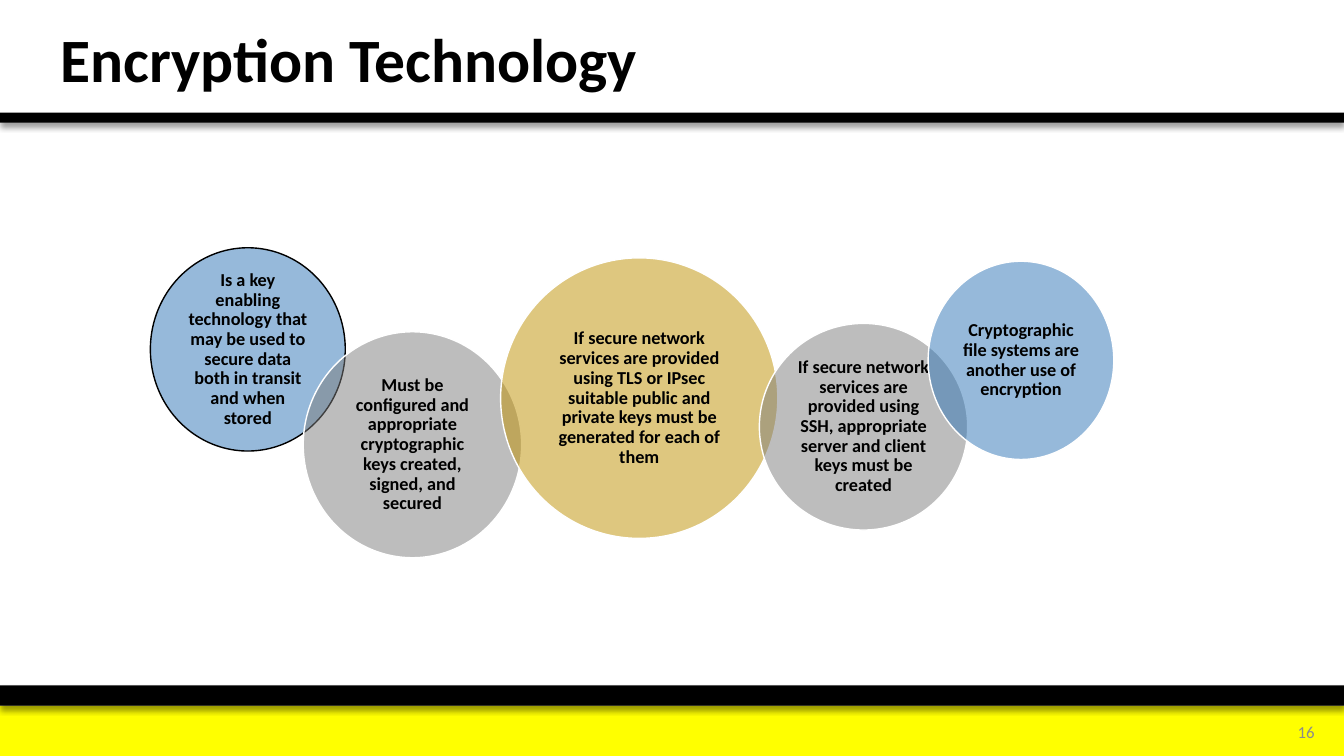
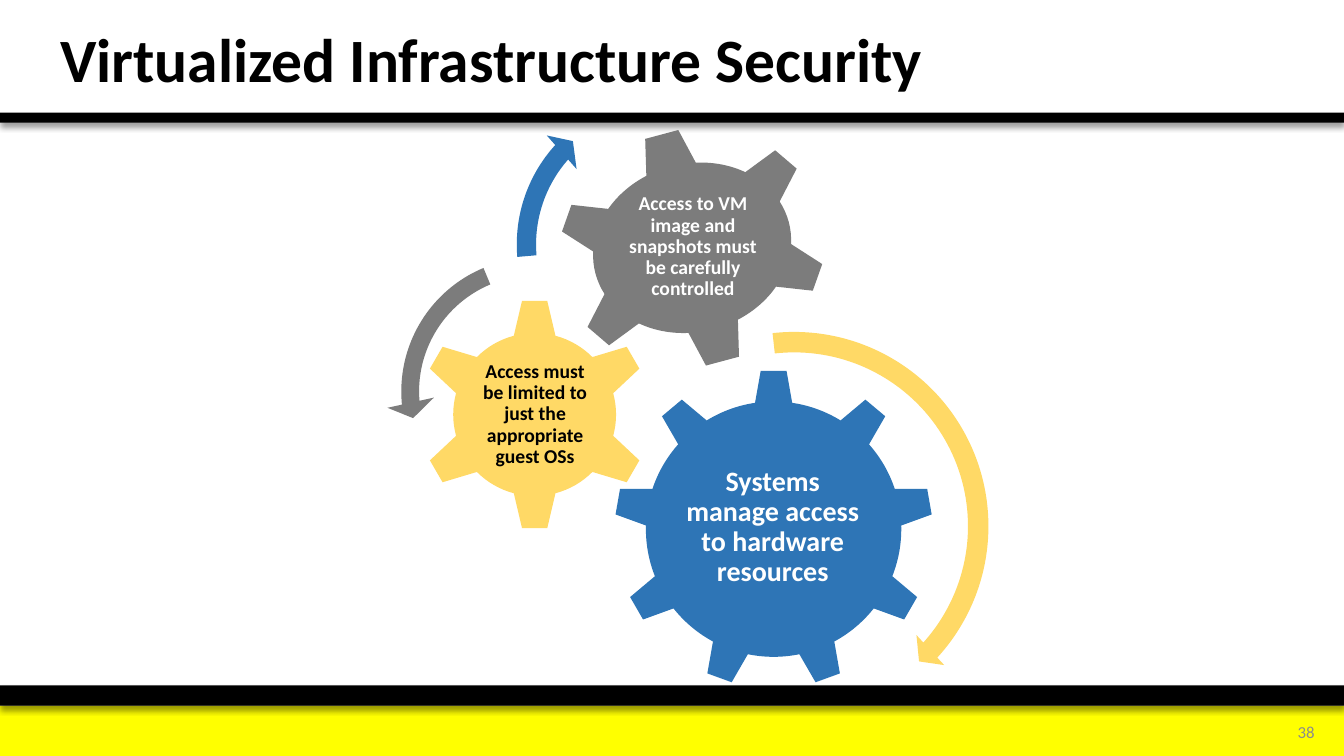
from dataclasses import dataclass
from typing import Optional

from lxml import etree
from pptx import Presentation
from pptx.dml.color import RGBColor
from pptx.enum.shapes import MSO_SHAPE
from pptx.enum.text import MSO_ANCHOR, PP_ALIGN
from pptx.oxml.ns import qn
from pptx.presentation import Presentation as Deck
from pptx.shapes.autoshape import Shape
from pptx.slide import Slide
from pptx.util import Emu, Inches, Pt

RECTANGLE = MSO_SHAPE.RECTANGLE
ELLIPSE = MSO_SHAPE.OVAL
GEAR_6 = MSO_SHAPE.GEAR_6
GEAR_9 = MSO_SHAPE.GEAR_9
CLOCKWISE = MSO_SHAPE.CIRCULAR_ARROW
COUNTERCLOCKWISE = MSO_SHAPE.LEFT_CIRCULAR_ARROW
LEFT, CENTER, RIGHT = PP_ALIGN.LEFT, PP_ALIGN.CENTER, PP_ALIGN.RIGHT
MIDDLE = MSO_ANCHOR.MIDDLE

# The slide is a grid of square cells, twelve to the inch.
CELL = Inches(1) // 12
COLUMNS, ROWS = 160, 90
BLANK_LAYOUT = 6


@dataclass(frozen=True)
class Theme:
    font: str = "Calibri"
    black: str = "000000"
    white: str = "FFFFFF"
    yellow: str = "FFFF00"
    blue: str = "2E75B6"
    gray: str = "7C7C7C"
    ochre: str = "BF9000"
    gold: str = "FFD966"
    number_gray: str = "8C8C8C"
    title_size: int = 44
    large_size: int = 20
    label_size: int = 14
    circle_size: int = 13
    number_size: int = 12
    line_spacing: float = 0.9


THEME = Theme()


@dataclass(frozen=True)
class Box:
    """A place on the grid, in columns and rows."""
    column: float
    row: float
    width: float
    height: float

    def lengths(self) -> tuple[Emu, ...]:
        return tuple(Emu(round(cells * CELL)) for cells in
                     (self.column, self.row, self.width, self.height))


@dataclass(frozen=True)
class TextStyle:
    size: int
    color: str = THEME.black
    bold: bool = True
    align: PP_ALIGN = CENTER
    spacing: Optional[float] = THEME.line_spacing
    side_inset: float = 0.1
    top_inset: float = 0.05


TITLE_STYLE = TextStyle(THEME.title_size, align=LEFT)
NUMBER_STYLE = TextStyle(THEME.number_size, THEME.number_gray, False, RIGHT, None)
CIRCLE_STYLE = TextStyle(THEME.circle_size, side_inset=0.07, top_inset=0.02)


@dataclass(frozen=True)
class Band:
    row: float
    height: float
    color: str
    shadow: bool = True


@dataclass(frozen=True)
class Circle:
    box: Box
    color: str
    text: str
    outline: str = THEME.white


@dataclass(frozen=True)
class Gear:
    kind: MSO_SHAPE
    box: Box
    color: str
    label_box: Box
    text: str
    text_color: str = THEME.white
    size: int = THEME.label_size
    rotation: int = 0


@dataclass(frozen=True)
class TurningArrow:
    """Angles are in degrees; thickness and head are shares of the side."""
    kind: MSO_SHAPE
    column: float
    row: float
    side: float
    color: str
    thickness: float
    head_angle: float
    end_angle: float
    start_angle: float
    head: float


BANDS = (
    Band(84, 6, THEME.yellow, shadow=False),
    Band(81.6, 2.4, THEME.black),
    Band(13.4, 1.2, THEME.black),
)
TITLE_BOX = Box(6, 0.8, 125.6, 13.4)
NUMBER_BOX = Box(148.6, 84.7, 9.1, 4.8)

CIRCLES = (
    Circle(Box(17.9, 29.5, 23.2, 24.2), THEME.blue,
           "Is a key enabling technology that may be used to secure data "
           "both in transit and when stored", THEME.black),
    Circle(Box(36.1, 39.5, 26, 26.9), THEME.gray,
           "Must be configured and appropriate cryptographic keys created, "
           "signed, and secured"),
    Circle(Box(59.6, 30.7, 33, 33.4), THEME.ochre,
           "If secure network services are provided using TLS or IPsec "
           "suitable public and private keys must be generated for each of them"),
    Circle(Box(90.4, 38.5, 24.8, 24.6), THEME.gray,
           "If secure network services are provided using SSH, appropriate "
           "server and client keys must be created"),
    Circle(Box(110.5, 31.1, 22.1, 23.6), THEME.blue,
           "Cryptographic file systems are another use of encryption"),
)

GEARS = (
    Gear(GEAR_9, Box(73.1, 44, 38, 38), THEME.blue, Box(80.6, 53, 22.8, 19.6),
         "Systems manage access to hardware resources", size=THEME.large_size),
    Gear(GEAR_6, Box(49.8, 35.5, 27.7, 27.7), THEME.gold, Box(56.8, 42.5, 13.8, 13.7),
         "Access must be limited to just the appropriate guest OSs", THEME.black),
    Gear(GEAR_6, Box(66.2, 15.2, 32.4, 28.6), THEME.gray, Box(73.6, 21.2, 17.8, 16.4),
         "Access to VM image and snapshots must be carefully controlled", rotation=345),
)

ARROWS = (
    TurningArrow(CLOCKWISE, 70.2, 38.3, 48.7, THEME.gold,
                 0.05, 4.98, 42.29, 263.62, 0.05),
    TurningArrow(COUNTERCLOCKWISE, 46, 28.9, 35.4, THEME.gray,
                 0.06, 7.17, 174.82, 247.3, 0.08),
    TurningArrow(CLOCKWISE, 60, 10, 38.2, THEME.blue,
                 0.06, 6.57, 221.9, 175.14, 0.07),
)


def add_filled_shape(slide: Slide, kind: MSO_SHAPE, box: Box, color: str) -> Shape:
    shape = slide.shapes.add_shape(kind, *box.lengths())
    shape.shadow.inherit = False
    shape.fill.solid()
    shape.fill.fore_color.rgb = RGBColor.from_string(color)
    shape.line.fill.background()
    return shape


def write_text(shape: Shape, text: str, style: TextStyle) -> None:
    frame = shape.text_frame
    frame.word_wrap = True
    frame.vertical_anchor = MIDDLE
    frame.margin_left = frame.margin_right = Inches(style.side_inset)
    frame.margin_top = frame.margin_bottom = Inches(style.top_inset)
    paragraph = frame.paragraphs[0]
    paragraph.alignment = style.align
    if style.spacing is not None:
        paragraph.line_spacing = style.spacing
    run = paragraph.add_run()
    run.text = text
    run.font.name = THEME.font
    run.font.size = Pt(style.size)
    run.font.bold = style.bold
    run.font.color.rgb = RGBColor.from_string(style.color)


def add_label(slide: Slide, box: Box, text: str, style: TextStyle) -> None:
    write_text(slide.shapes.add_textbox(*box.lengths()), text, style)


def set_alpha(color_element: etree._Element, percent: int) -> None:
    etree.SubElement(color_element, qn("a:alpha"), val=str(percent * 1000))


def drop_shadow(shape: Shape) -> None:
    """Cast a soft shadow straight down."""
    effects = shape.element.spPr.find(qn("a:effectLst"))
    shadow = etree.SubElement(
        effects, qn("a:outerShdw"), blurRad=str(Pt(4)), dist=str(Pt(3)),
        dir="5400000", algn="t", rotWithShape="0")
    set_alpha(etree.SubElement(shadow, qn("a:srgbClr"), val=THEME.black), 40)


def add_slide(presentation: Deck, title: str, number: int) -> Slide:
    """Add a slide with the shared bands, title and number."""
    slide = presentation.slides.add_slide(presentation.slide_layouts[BLANK_LAYOUT])
    for band in BANDS:
        box = Box(0, band.row, COLUMNS, band.height)
        shape = add_filled_shape(slide, RECTANGLE, box, band.color)
        if band.shadow:
            drop_shadow(shape)
    add_label(slide, NUMBER_BOX, str(number), NUMBER_STYLE)
    add_label(slide, TITLE_BOX, title, TITLE_STYLE)
    return slide


def add_circle(slide: Slide, circle: Circle) -> None:
    shape = add_filled_shape(slide, ELLIPSE, circle.box, circle.color)
    set_alpha(shape.element.spPr.find(f"{qn('a:solidFill')}/{qn('a:srgbClr')}"), 50)
    shape.line.color.rgb = RGBColor.from_string(circle.outline)
    shape.line.width = Pt(1)
    write_text(shape, circle.text, CIRCLE_STYLE)


def add_gear(slide: Slide, gear: Gear) -> None:
    """Draw a gear with an upright label over it."""
    shape = add_filled_shape(slide, gear.kind, gear.box, gear.color)
    shape.rotation = gear.rotation
    style = TextStyle(gear.size, gear.text_color, side_inset=0.02, top_inset=0.02)
    add_label(slide, gear.label_box, gear.text, style)


def add_turning_arrow(slide: Slide, arrow: TurningArrow) -> None:
    box = Box(arrow.column, arrow.row, arrow.side, arrow.side)
    shape = add_filled_shape(slide, arrow.kind, box, arrow.color)
    angles = (arrow.head_angle, arrow.end_angle, arrow.start_angle)
    # One degree is 60000 units, and an adjustment of 1 is 100000 units.
    values = (arrow.thickness, *(angle * 0.6 for angle in angles), arrow.head)
    for index, value in enumerate(values):
        shape.adjustments[index] = value


def main() -> None:
    presentation = Presentation()
    presentation.slide_width = Emu(COLUMNS * CELL)
    presentation.slide_height = Emu(ROWS * CELL)

    encryption = add_slide(presentation, "Encryption Technology", 16)
    for circle in CIRCLES:
        add_circle(encryption, circle)

    virtualization = add_slide(presentation, "Virtualized Infrastructure Security", 38)
    for gear in GEARS:
        add_gear(virtualization, gear)
    for arrow in ARROWS:
        add_turning_arrow(virtualization, arrow)

    presentation.save("out.pptx")


if __name__ == "__main__":
    main()
